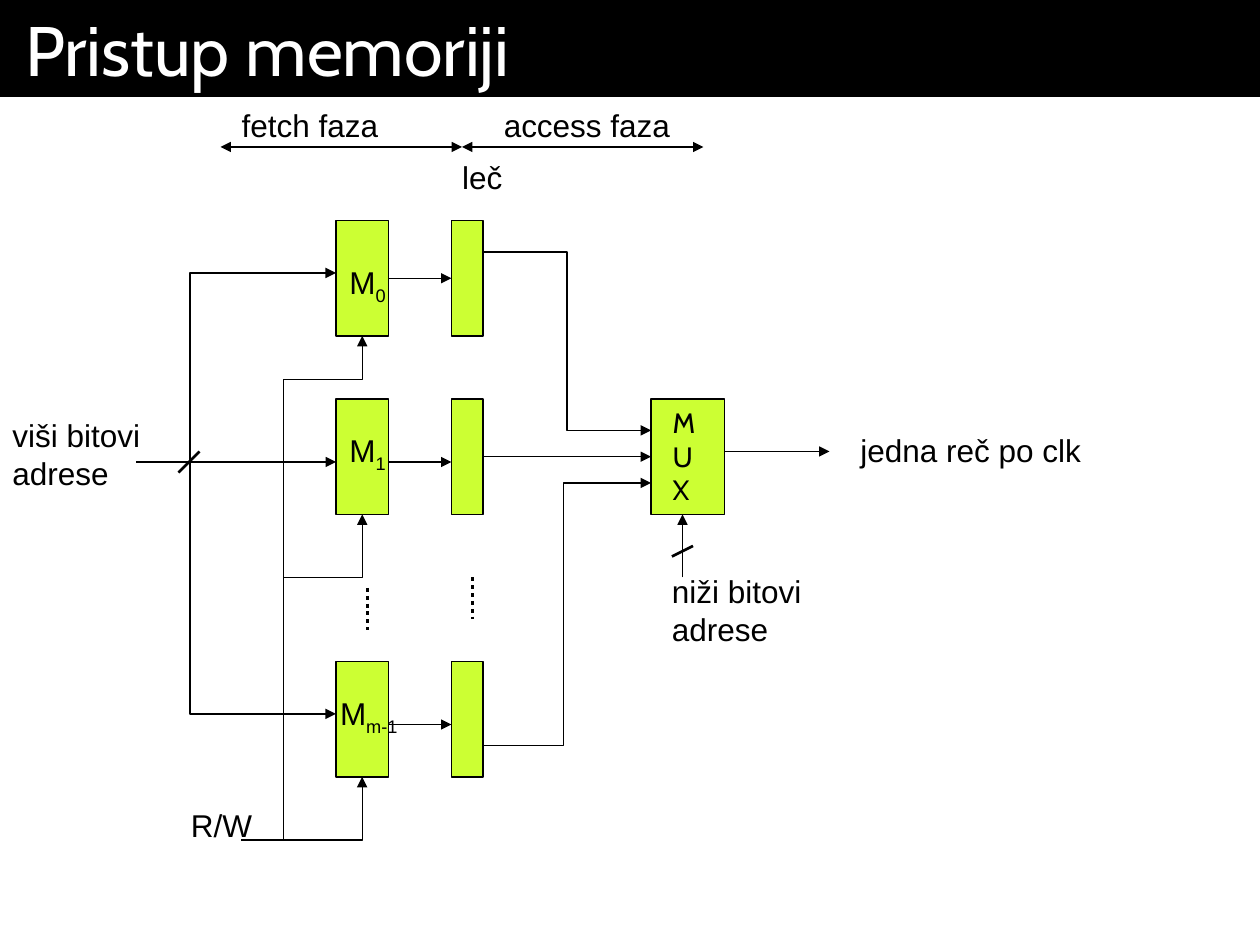
import dataclasses

import lxml.etree
import pptx
import pptx.dml.color
import pptx.enum.dml
import pptx.enum.shapes
import pptx.enum.text
import pptx.oxml.ns
import pptx.util

COLUMNS, ROWS = 120, 90
ELBOW = pptx.enum.shapes.MSO_CONNECTOR.ELBOW
STRAIGHT = pptx.enum.shapes.MSO_CONNECTOR.STRAIGHT
ANCHOR = pptx.enum.text.MSO_ANCHOR
qn = pptx.oxml.ns.qn


@dataclasses.dataclass(frozen=True)
class Theme:
    ink: str = "000000"
    paper: str = "FFFFFF"
    block: str = "CCFF33"
    heading_font: str = "Cabin"
    label_font: str = "Arial"
    heading_size: float = 40
    label_size: float = 18
    mux_size: float = 16
    thin: float = 0.75
    slash: float = 1.5
    dots: float = 2.25


THEME = Theme()


def cell(count):
    return pptx.util.Inches(count / 12)


def rgb(value):
    return pptx.dml.color.RGBColor.from_string(value)


def write(frame, paragraphs, size, font, color, side_inset, anchor):
    frame.word_wrap = True
    frame.vertical_anchor = anchor
    frame.margin_left = frame.margin_right = pptx.util.Inches(side_inset)
    frame.margin_top = frame.margin_bottom = pptx.util.Inches(0.05)
    for index, pieces in enumerate(paragraphs):
        paragraph = frame.add_paragraph() if index else frame.paragraphs[0]
        paragraph.alignment = pptx.enum.text.PP_ALIGN.LEFT
        for position, piece in enumerate(pieces):
            run = paragraph.add_run()
            run.text = piece
            run.font.size = pptx.util.Pt(size)
            run.font.name = font
            run.font.color.rgb = rgb(color)
            if position:
                run.font._element.set("baseline", "-25000")


def add_block(slide, left, top, width, height, fill, outlined=True):
    block = slide.shapes.add_shape(
        pptx.enum.shapes.MSO_SHAPE.RECTANGLE,
        cell(left), cell(top), cell(width), cell(height))
    block.shadow.inherit = False
    block.fill.solid()
    block.fill.fore_color.rgb = rgb(fill)
    if outlined:
        block.line.color.rgb = rgb(THEME.ink)
        block.line.width = pptx.util.Pt(THEME.thin)
    else:
        block.line.fill.background()
    return block


def add_label(slide, left, top, width, height, *paragraphs,
              size=THEME.label_size, font=THEME.label_font):
    label = slide.shapes.add_textbox(cell(left), cell(top), cell(width), cell(height))
    write(label.text_frame, paragraphs, size, font, THEME.ink, 0.1, ANCHOR.BOTTOM)


def add_wire(slide, start, end, kind=STRAIGHT, width=THEME.thin, arrows=("tailEnd",)):
    wire = slide.shapes.add_connector(kind, *map(cell, (*start, *end)))
    wire.line.color.rgb = rgb(THEME.ink)
    wire.line.width = pptx.util.Pt(width)
    stroke = wire.line._get_or_add_ln()
    for arrow in arrows:
        lxml.etree.SubElement(stroke, qn(f"a:{arrow}")).set("type", "triangle")
    lxml.etree.SubElement(wire._element.spPr, qn("a:effectLst"))
    return wire


def add_corner(slide, start, end, arrows=("tailEnd",)):
    corner = add_wire(slide, start, end, ELBOW, arrows=arrows)
    corner._element.spPr.find(qn("a:prstGeom")).set("prst", "bentConnector2")


def add_step(slide, start, end, bend, upright=False):
    if upright:
        middle_x, middle_y = (start[0] + end[0]) / 2, (start[1] + end[1]) / 2
        start, end = ((middle_x + y - middle_y, middle_y - x + middle_x)
                      for x, y in (start, end))
    step = add_wire(slide, start, end, ELBOW)
    properties = step._element.spPr
    if upright:
        properties.find(qn("a:xfrm")).set("rot", "5400000")
    adjustments = properties.find(qn("a:prstGeom")).find(qn("a:avLst"))
    guide = lxml.etree.SubElement(adjustments, qn("a:gd"))
    guide.set("name", "adj1")
    guide.set("fmla", f"val {round(bend * 100000)}")


def add_joined_wire(slide, source, target):
    wire = add_wire(slide, (0, 0), (1, 1))
    wire.begin_connect(source, 3)
    wire.end_connect(target, 1)


def add_title(slide):
    banner = add_block(slide, 0, 0, COLUMNS, 9.24, THEME.ink, outlined=False)
    write(banner.text_frame, [["Pristup memoriji"]], THEME.heading_size,
          THEME.heading_font, THEME.paper, 0.2, ANCHOR.MIDDLE)


def add_phases(slide):
    for start in (21, 44):
        add_wire(slide, (start, 14), (start + 23, 14), arrows=("headEnd", "tailEnd"))
    add_label(slide, 21.84, 9.5, 16.5, 4.8, ["fetch faza"])
    add_label(slide, 46.8, 9.5, 19, 4.8, ["access faza"])
    add_label(slide, 42.84, 14.4, 7, 4.8, ["leč"])


def add_blocks(slide):
    tops = (21, 38, 63)
    modules = [add_block(slide, 32, top, 5, 11, THEME.block) for top in tops]
    latches = [add_block(slide, 43, top, 3, 11, THEME.block) for top in tops]
    mux = add_block(slide, 62, 38, 7, 11, THEME.block)
    return modules, latches, mux


def add_wiring(slide, modules, latches, mux):
    add_corner(slide, (23, 80), (34.5, 74))
    add_step(slide, (27, 80), (34.5, 32), 0.914, upright=True)
    add_corner(slide, (27, 55), (34.5, 49))

    for row in (26, 68):
        add_corner(slide, (32, row), (18.12, 44), arrows=("headEnd",))
    add_wire(slide, (13, 44), (32, 44))

    add_joined_wire(slide, modules[0], latches[0])
    for row in (44, 69):
        add_wire(slide, (37, row), (43, row))

    add_step(slide, (46, 71), (62, 46), 0.48)
    add_step(slide, (46, 24), (62, 41), 0.5)
    add_joined_wire(slide, latches[1], mux)
    add_wire(slide, (69, 43), (79, 43))
    add_wire(slide, (65, 55), (65, 49))

    for start, end in (((19, 43), (17, 45)), ((64, 53), (66, 52))):
        add_wire(slide, start, end, width=THEME.slash, arrows=())
    for column, row in ((35, 56), (45, 55)):
        ellipsis = add_wire(slide, (column, row), (column, row + 4),
                            width=THEME.dots, arrows=())
        ellipsis.line.dash_style = pptx.enum.dml.MSO_LINE.ROUND_DOT


def add_labels(slide):
    add_label(slide, 17, 76.2, 9.5, 4.8, ["R/W"])
    add_label(slide, 62.8, 53.9, 15.5, 8.4, ["niži bitovi"], ["adrese"])
    add_label(slide, 0, 39, 15.5, 8.4, ["viši bitovi"], ["adrese"])
    add_label(slide, 80.76, 40.4, 24.5, 4.8, ["jedna reč po clk"])
    for left, top, width, index in (
            (32.1, 24.48, 6.5, "0"), (32.1, 40.44, 6.5, "1"), (31.2, 65.52, 9, "m-1")):
        add_label(slide, left, top, width, 5.28, ["M", index])
    add_label(slide, 62.88, 38.04, 5.5, 10.8, *"MUX",
              size=THEME.mux_size, font=THEME.heading_font)


def main():
    deck = pptx.Presentation()
    deck.slide_width, deck.slide_height = cell(COLUMNS), cell(ROWS)
    slide = deck.slides.add_slide(deck.slide_layouts[6])
    add_title(slide)
    modules, latches, mux = add_blocks(slide)
    add_wiring(slide, modules, latches, mux)
    add_labels(slide)
    add_phases(slide)
    deck.save("out.pptx")


if __name__ == "__main__":
    main()
